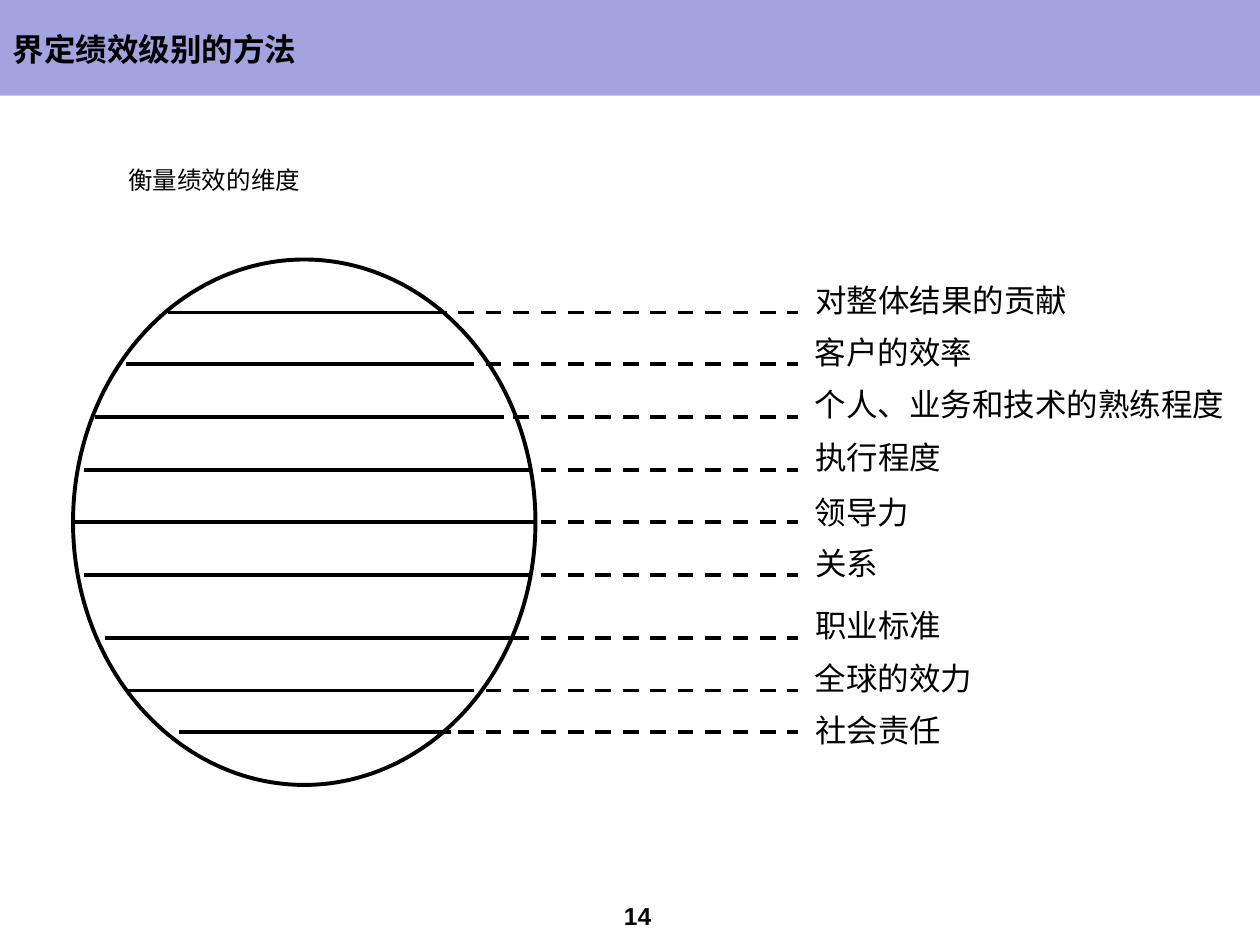
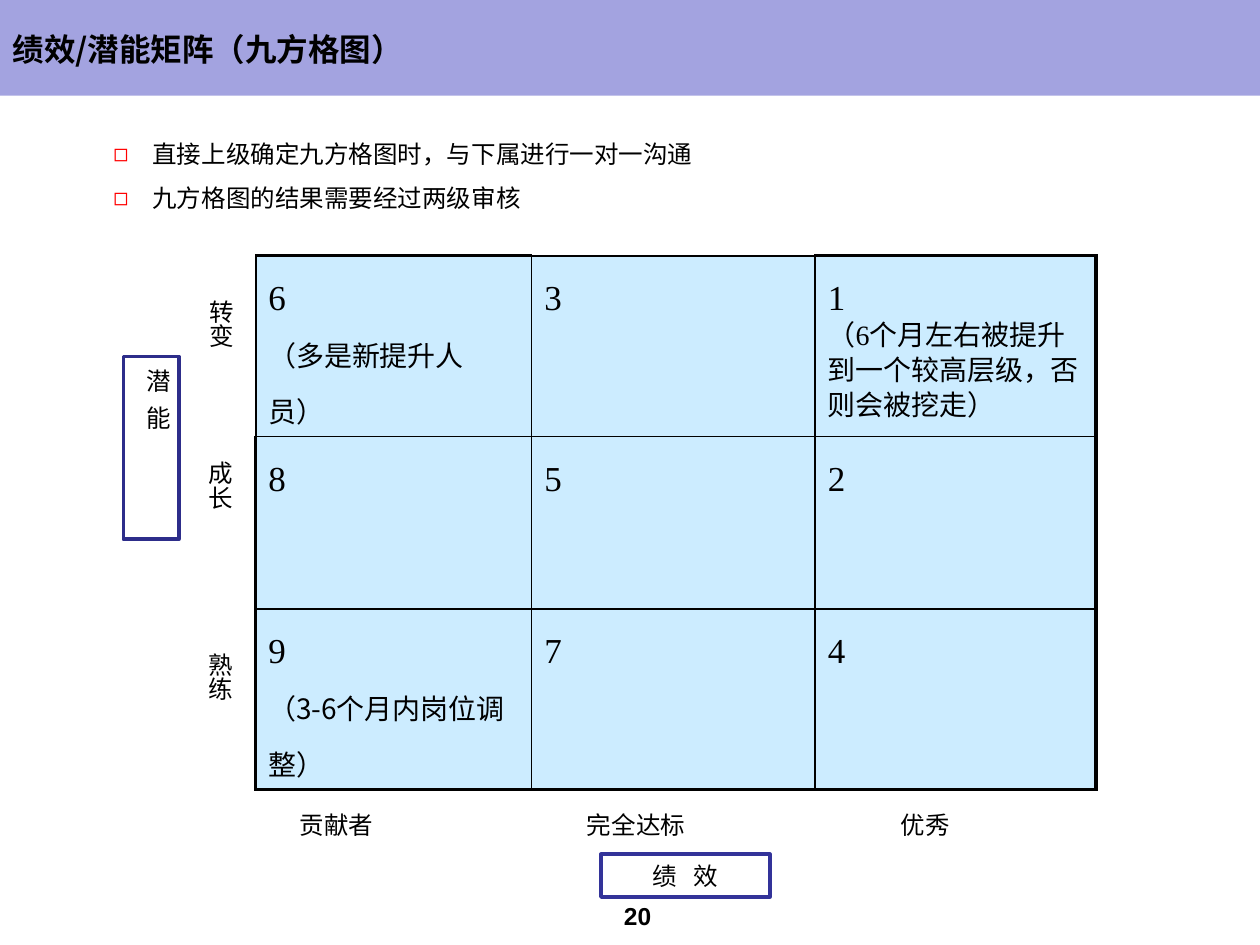
from dataclasses import dataclass

from lxml.etree import SubElement
from pptx import Presentation
from pptx.dml.color import RGBColor
from pptx.enum.dml import MSO_LINE
from pptx.enum.shapes import MSO_CONNECTOR, MSO_SHAPE
from pptx.enum.text import MSO_ANCHOR, MSO_AUTO_SIZE, PP_ALIGN
from pptx.oxml.ns import qn
from pptx.util import Inches, Pt

BLACK = RGBColor(0x00, 0x00, 0x00)
WHITE = RGBColor(0xFF, 0xFF, 0xFF)
RED = RGBColor(0xFF, 0x00, 0x00)
BAND_VIOLET = RGBColor(0xA3, 0xA3, 0xE0)
CELL_BLUE = RGBColor(0xCC, 0xEC, 0xFF)
AXIS_BLUE = RGBColor(0x33, 0x33, 0x99)
AXIS_NAVY = RGBColor(0x2D, 0x2D, 0x8A)

CJK = "Noto Sans CJK SC"
TITLE_FONT = {"name": CJK, "size": Pt(18), "bold": True}
LABEL_FONT = {"name": CJK, "size": Pt(18)}
SMALL_FONT = {"name": "Arial", "size": Pt(14)}
VERTICAL_FONT = {"name": CJK, "size": Pt(14)}
PAGE_FONT = {"name": "Arial", "size": Pt(14), "bold": True}
RANK_FONT = {"name": "Times New Roman", "size": Pt(20)}
NOTE_FONT = {"name": "Times New Roman", "size": Pt(16)}
CJK_NOTE_FONT = {"name": CJK, "size": Pt(16)}

THIN, THICK = Pt(1), Pt(2.25)


@dataclass(frozen=True)
class Box:
    left: float
    top: float
    width: float
    height: float

    def lengths(self) -> tuple:
        return tuple(Inches(n) for n in (self.left, self.top, self.width, self.height))


@dataclass(frozen=True)
class Dimension:
    text: str
    y: float
    chord_left: float
    chord_right: float
    label_top: float


@dataclass(frozen=True)
class Note:
    text: str
    font: dict
    line_spacing: int


@dataclass(frozen=True)
class Label:
    text: str
    box: Box


DIMENSIONS = [
    Dimension("对整体结果的贡献", 2.48, 1.33, 3.5, 2.23),
    Dimension("客户的效率", 2.89, 1, 3.75, 2.64),
    Dimension("个人、业务和技术的熟练程度", 3.31, 0.75, 4, 3.06),
    Dimension("执行程度", 3.73, 0.67, 4.17, 3.48),
    Dimension("领导力", 4.14, 0.58, 4.25, 3.91),
    Dimension("关系", 4.56, 0.67, 4.17, 4.32),
    Dimension("职业标准", 5.06, 0.83, 4.08, 4.81),
    Dimension("全球的效力", 5.48, 1, 3.75, 5.23),
    Dimension("社会责任", 5.81, 1.42, 3.58, 5.64),
]
RANKS = [["6", "3", "1"], ["8", "5", "2"], ["9", "7", "4"]]
NOTES = {
    "6": Note("（多是新提升人员）", NOTE_FONT, Pt(32)),
    "1": Note("（6个月左右被提升到一个较高层级，否则会被挖走）", NOTE_FONT, Pt(20)),
    "9": Note("（3-6个月内岗位调整）", CJK_NOTE_FONT, Pt(32)),
}
PERFORMANCE_LABELS = [
    Label("贡献者", Box(2.28, 6.43, 1.03, 0.43)),
    Label("完全达标", Box(4.56, 6.43, 1.31, 0.43)),
    Label("优秀", Box(7.05, 6.43, 0.76, 0.43)),
]
POTENTIAL_LABELS = [
    Label("转变", Box(1.39, 2.28, 0.53, 1.1)),
    Label("成长", Box(1.38, 3.56, 0.53, 1.1)),
    Label("熟练", Box(1.38, 5.08, 0.53, 1.1)),
]
REVIEW_RULES = ["直接上级确定九方格图时，与下属进行一对一沟通", "九方格图的结果需要经过两级审核"]


def apply(target, values: dict) -> None:
    for name, value in values.items():
        setattr(target, name, value)


def place(shape, box: Box) -> None:
    apply(shape, dict(zip(("left", "top", "width", "height"), box.lengths())))


def write(paragraph, text: str, font: dict, spacing: int = 0) -> None:
    """Add a run; spacing is between characters, in hundredths of a point."""
    run = paragraph.add_run()
    run.text = text
    apply(run.font, font)
    run.font.color.rgb = BLACK
    properties = run._r.get_or_add_rPr()
    properties.set("lang", "zh-CN")
    if spacing:
        properties.set("spc", str(spacing))
    SubElement(properties, qn("a:ea"), typeface=CJK)


def set_frame(frame, **values) -> None:
    apply(frame, {"word_wrap": True, "auto_size": MSO_AUTO_SIZE.NONE, **values})


def make_vertical(frame) -> None:
    frame._txBody.bodyPr.set("vert", "eaVert")


def add_text(slide, text: str, box: Box, font: dict, **frame_values):
    text_box = slide.shapes.add_textbox(*box.lengths())
    set_frame(text_box.text_frame, **frame_values)
    write(text_box.text_frame.paragraphs[0], text, font)
    return text_box


def add_filled(slide, kind, box: Box, fill: RGBColor, line=None, width=THICK):
    shape = slide.shapes.add_shape(kind, *box.lengths())
    shape.shadow.inherit = False
    shape.fill.solid()
    shape.fill.fore_color.rgb = fill
    if line is None:
        shape.line.fill.background()
    else:
        apply(shape.line, {"width": width})
        shape.line.color.rgb = line
    return shape


def add_level_line(slide, left: float, right: float, y: float, dash=None) -> None:
    line = slide.shapes.add_connector(
        MSO_CONNECTOR.STRAIGHT, Inches(left), Inches(y), Inches(right), Inches(y)
    )
    line.line.color.rgb = BLACK
    line.line.width = THICK
    if dash is not None:
        line.line.dash_style = dash
    SubElement(line._element.spPr, qn("a:effectLst"))


def add_slide(presentation, layout: int, title: str, page: str):
    """Start a slide with its band, title and page number."""
    slide = presentation.slides.add_slide(presentation.slide_layouts[layout])
    band = add_filled(slide, MSO_SHAPE.RECTANGLE, Box(0, 0, 10, 0.76), BAND_VIOLET)
    slide.shapes._spTree.insert(2, band._element)
    place(slide.shapes.title, Box(0, 0.08, 9.67, 0.62))
    frame = slide.shapes.title.text_frame
    set_frame(frame, vertical_anchor=MSO_ANCHOR.MIDDLE)
    frame.paragraphs[0].alignment = PP_ALIGN.LEFT
    write(frame.paragraphs[0], title, TITLE_FONT)
    number = add_text(slide, page, Box(4.69, 7.09, 0.74, 0.35), PAGE_FONT,
                      vertical_anchor=MSO_ANCHOR.MIDDLE)
    number.text_frame.paragraphs[0].alignment = PP_ALIGN.CENTER
    return slide


def build_dimensions_slide(presentation) -> None:
    slide = add_slide(presentation, 5, "界定绩效级别的方法", "14")
    add_text(slide, "衡量绩效的维度", Box(0.92, 1.31, 2.15, 0.43), SMALL_FONT, margin_top=0)
    add_filled(slide, MSO_SHAPE.OVAL, Box(0.58, 2.06, 3.67, 4.17), WHITE, BLACK)
    for dimension in DIMENSIONS:
        add_level_line(slide, dimension.chord_left, dimension.chord_right, dimension.y)
        add_level_line(slide, 3.42, 6.33, dimension.y, MSO_LINE.DASH)
        width = 0.25 * len(dimension.text) + 0.22
        add_text(slide, dimension.text, Box(6.37, dimension.label_top, width, 0.4),
                 LABEL_FONT, margin_top=0)


def add_review_rules(slide) -> None:
    body = slide.placeholders[1]
    place(body, Box(0.8, 0.92, 4.84, 0.76))
    frame = body.text_frame
    set_frame(frame, margin_top=Inches(0.07))
    for index, rule in enumerate(REVIEW_RULES):
        paragraph = frame.add_paragraph() if index else frame.paragraphs[0]
        apply(paragraph, {"line_spacing": Pt(25), "space_before": Pt(0)})
        properties = paragraph._p.get_or_add_pPr()
        properties.set("marL", str(Inches(0.31)))
        properties.set("indent", str(-Inches(0.31)))
        color = SubElement(properties, qn("a:buClr"))
        SubElement(color, qn("a:srgbClr"), val=str(RED))
        SubElement(properties, qn("a:buChar"), char="◻")
        write(paragraph, rule, SMALL_FONT)


def set_borders(cell, row: int, column: int) -> None:
    """Thick outer edges, except left of the first row and above the middle column."""
    thick = {
        "a:lnL": column == 0 and row > 0,
        "a:lnR": column == 2,
        "a:lnT": row == 0 and column != 1,
        "a:lnB": row == 2,
    }
    properties = cell._tc.get_or_add_tcPr()
    for position, (tag, is_thick) in enumerate(thick.items()):
        border = SubElement(properties, qn(tag), w=str(THICK if is_thick else THIN))
        fill = SubElement(border, qn("a:solidFill"))
        SubElement(fill, qn("a:srgbClr"), val=str(BLACK))
        properties.insert(position, border)


def add_matrix(slide) -> None:
    table = slide.shapes.add_table(3, 3, *Box(2.03, 2.03, 6.67, 4.23).lengths()).table
    apply(table, {"first_row": False, "horz_banding": False})
    for column, width in zip(table.columns, (2.19, 2.25, 2.23)):
        column.width = Inches(width)
    for row, height in zip(table.rows, (1.43, 1.37, 1.43)):
        row.height = Inches(height)
    for row, ranks in enumerate(RANKS):
        for column, rank in enumerate(ranks):
            cell = table.cell(row, column)
            cell.fill.solid()
            cell.fill.fore_color.rgb = CELL_BLUE
            set_borders(cell, row, column)
            paragraph = cell.text_frame.paragraphs[0]
            paragraph.line_spacing = Pt(32)
            write(paragraph, rank, RANK_FONT)
            if rank in NOTES:
                note = NOTES[rank]
                paragraph = cell.text_frame.add_paragraph()
                paragraph.line_spacing = note.line_spacing
                write(paragraph, note.text, note.font)


def add_axis_names(slide) -> None:
    performance = add_filled(slide, MSO_SHAPE.RECTANGLE, Box(4.77, 6.78, 1.34, 0.34),
                             WHITE, AXIS_BLUE, Pt(2))
    frame = performance.text_frame
    set_frame(frame, vertical_anchor=MSO_ANCHOR.MIDDLE, margin_top=0, margin_bottom=0)
    frame.paragraphs[0].alignment = PP_ALIGN.CENTER
    write(frame.paragraphs[0], "绩 效", SMALL_FONT, 330)

    potential = add_filled(slide, MSO_SHAPE.RECTANGLE, Box(0.98, 2.83, 0.44, 1.45),
                           WHITE, AXIS_NAVY, Pt(2))
    frame = potential.text_frame
    set_frame(frame, vertical_anchor=MSO_ANCHOR.TOP)
    make_vertical(frame)
    frame.paragraphs[0].alignment = PP_ALIGN.LEFT
    write(frame.paragraphs[0], "潜 能", VERTICAL_FONT, 180)


def build_matrix_slide(presentation) -> None:
    slide = add_slide(presentation, 1, "绩效/潜能矩阵（九方格图）", "20")
    add_review_rules(slide)
    add_matrix(slide)
    add_axis_names(slide)
    for label in PERFORMANCE_LABELS:
        add_text(slide, label.text, label.box, SMALL_FONT, margin_top=0)
    for label in POTENTIAL_LABELS:
        text_box = add_text(slide, label.text, label.box, VERTICAL_FONT)
        make_vertical(text_box.text_frame)


def main() -> None:
    presentation = Presentation()
    apply(presentation, {"slide_width": Inches(10), "slide_height": Inches(7.5)})
    build_dimensions_slide(presentation)
    build_matrix_slide(presentation)
    presentation.save("out.pptx")


if __name__ == "__main__":
    main()
